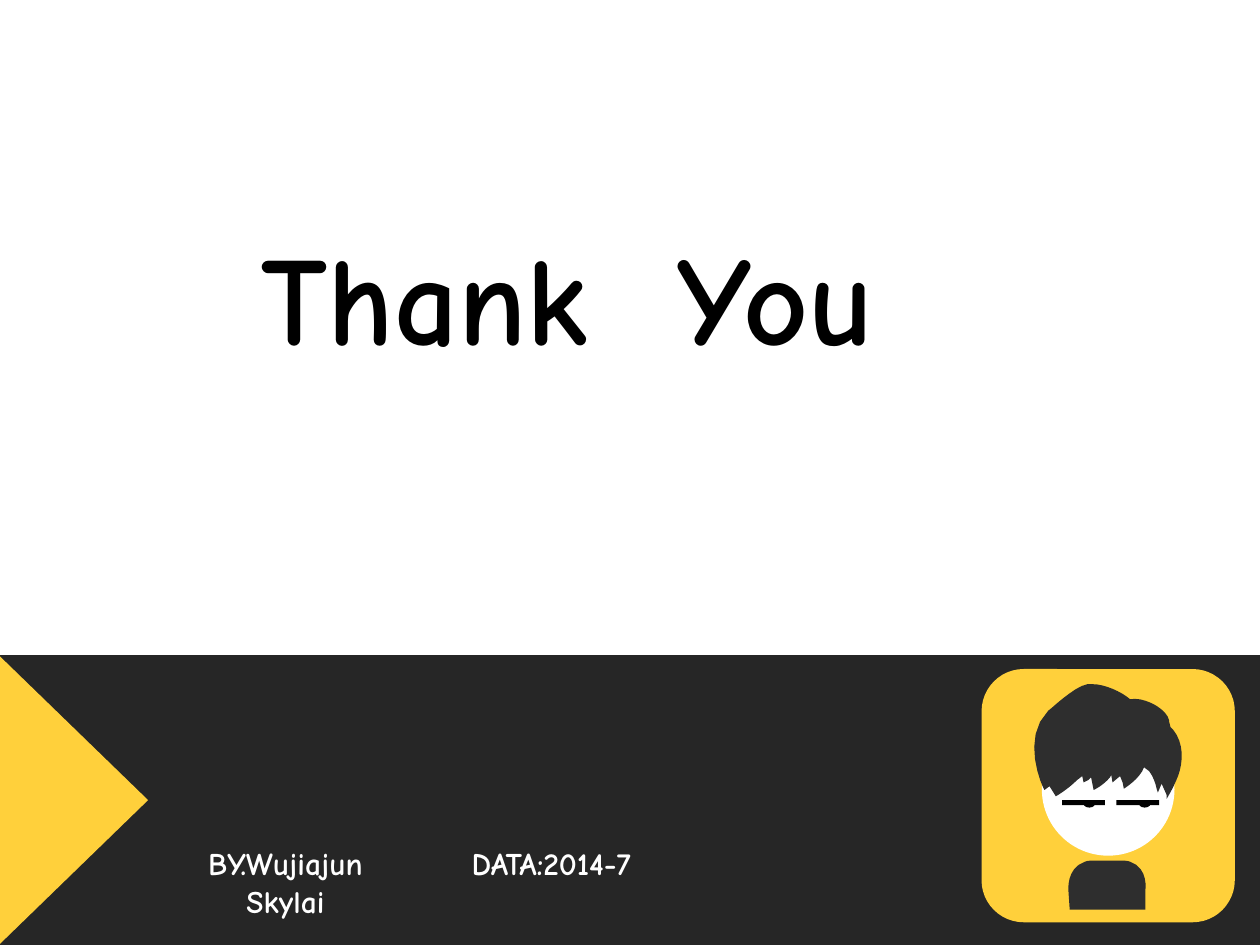
from pptx import Presentation
from pptx.dml.color import RGBColor
from pptx.enum.shapes import MSO_SHAPE as Kind
from pptx.enum.text import MSO_ANCHOR as Anchor, MSO_AUTO_SIZE as Fit, PP_ALIGN as Align
from pptx.util import Inches, Pt

DARK = RGBColor(0x26, 0x26, 0x26)
HAIR = RGBColor(0x2E, 0x2E, 0x2E)
GOLD = RGBColor(0xFF, 0xD0, 0x3B)
WHITE = RGBColor(0xFF, 0xFF, 0xFF)
BLACK = RGBColor(0, 0, 0)
FONT = "Comic Neue"
STEPS = 8

BODY = [
    (8.97, 6.84),
    (8.95, 6.83, 8.91, 6.83, 8.88, 6.83),
    (8.7, 6.83),
    (8.66, 6.83, 8.63, 6.83, 8.61, 6.84),
    (8.46, 6.89, 8.48, 7.07, 8.48, 7.07),
    (8.49, 7.22), (9.09, 7.22), (9.09, 7.07),
    (9.09, 7.07, 9.12, 6.89, 8.97, 6.84),
]
CROWN = [
    (8.67, 5.43),
    (8.77, 5.43, 8.9, 5.49, 8.97, 5.55),
    (9.06, 5.53, 9.22, 5.6, 9.27, 5.69),
    (9.27, 5.7, 9.28, 5.71, 9.28, 5.73),
    (9.29, 5.77), (9.31, 5.79),
    (9.4, 5.9, 9.39, 6.05, 9.35, 6.16),
    (9.31, 6.26, 9.26, 6.34, 9.26, 6.34),
]
FRINGE = [
    (9.26, 6.31), (9.22, 6.22), (9.19, 6.29), (9.18, 6.26),
    (9.17, 6.21, 9.15, 6.16, 9.12, 6.12),
    (9.08, 6.09),
    (9.05, 6.18, 8.92, 6.26, 8.92, 6.26),
    (8.91, 6.21), (8.89, 6.16), (8.83, 6.21), (8.82, 6.15), (8.81, 6.17),
    (8.75, 6.24, 8.68, 6.27, 8.68, 6.27),
    (8.66, 6.17), (8.64, 6.19), (8.6, 6.21), (8.59, 6.16), (8.55, 6.19),
    (8.47, 6.27, 8.38, 6.32, 8.38, 6.32),
    (8.33, 6.24), (8.29, 6.27),
]
SIDE = [
    (8.27, 6.24, 8.1, 5.86, 8.32, 5.64),
    (8.33, 5.64, 8.52, 5.45, 8.63, 5.43),
    (8.64, 5.43, 8.65, 5.43, 8.67, 5.43),
]


def paint(shape, fill):
    shape.shadow.inherit = False
    shape.fill.solid()
    shape.fill.fore_color.rgb = fill
    shape.line.fill.background()
    return shape


def add_block(shapes, kind, box, fill):
    return paint(shapes.add_shape(kind, *map(Inches, box)), fill)


def bend(start, curve, t):
    knots = (start, curve[:2], curve[2:4], curve[4:])
    rates = ((1 - t) ** 3, 3 * t * (1 - t) ** 2, 3 * t * t * (1 - t), t ** 3)
    return tuple(sum(r * k[i] for r, k in zip(rates, knots)) for i in (0, 1))


def trace(parts):
    dots = [parts[0]]
    for part in parts[1:]:
        start = dots[-1]
        if len(part) == 2:
            dots.append(part)
        else:
            dots += [bend(start, part, n / STEPS) for n in range(1, STEPS + 1)]
    return [(Inches(x), Inches(y)) for x, y in dots]


def add_form(shapes, parts, fill):
    first, *rest = trace(parts)
    pen = shapes.build_freeform(*first)
    pen.add_line_segments(rest, close=True)
    return paint(pen.convert_to_shape(), fill)


def set_text(shape, text, size, color):
    frame = shape.text_frame
    frame.text = text
    frame.word_wrap = True
    frame.auto_size = Fit.SHAPE_TO_FIT_TEXT
    frame.vertical_anchor = Anchor.TOP
    for para in frame.paragraphs:
        para.alignment = Align.CENTER
        for run in para.runs:
            run.font.name = FONT
            run.font.size = Pt(size)
            run.font.bold = True
            run.font.color.rgb = color


def add_title(slide, text):
    title = slide.shapes.title
    title.left, title.top = Inches(0.19), Inches(1.69)
    title.width, title.height = Inches(8.63), Inches(1.3)
    set_text(title, text, 72, BLACK)


def add_label(shapes, box, text):
    set_text(shapes.add_textbox(*map(Inches, box)), text, 18, WHITE)


def add_face(slide):
    shapes = slide.shapes.add_group_shape().shapes
    add_form(shapes, BODY, HAIR)
    head = add_block(shapes, Kind.OVAL, (8.3, 5.77, 0.99, 0.99), WHITE)
    head.line.color.rgb = WHITE
    head.line.width = Pt(4.5)
    for left in (8.43, 8.86):
        add_block(shapes, Kind.RECTANGLE, (left, 6.35, 0.34, 0.04), BLACK)
    add_form(shapes, CROWN + FRINGE + SIDE, HAIR)
    for left in (8.6, 9.04):
        add_block(shapes, Kind.OVAL, (left, 6.35, 0.09, 0.06), BLACK)


def main():
    deck = Presentation()
    deck.slide_width, deck.slide_height = Inches(10), Inches(7.5)
    slide = deck.slides.add_slide(deck.slide_layouts[5])
    shapes = slide.shapes
    add_block(shapes, Kind.RECTANGLE, (0, 5.2, 10, 2.3), DARK)
    add_title(slide, "Thank  You")
    arrow = add_block(shapes, Kind.ISOSCELES_TRIANGLE, (-0.56, 5.76, 2.29, 1.18), GOLD)
    arrow.rotation = 90
    add_label(shapes, (0.57, 6.65, 3.39, 1.3), "BY.Wujiajun\nSkylai")
    add_block(shapes, Kind.ROUNDED_RECTANGLE, (7.79, 5.31, 2.01, 2.01), GOLD)
    add_face(slide)
    add_label(shapes, (2.68, 6.65, 3.39, 1), "DATA:2014-7")
    deck.save("out.pptx")


if __name__ == "__main__":
    main()
